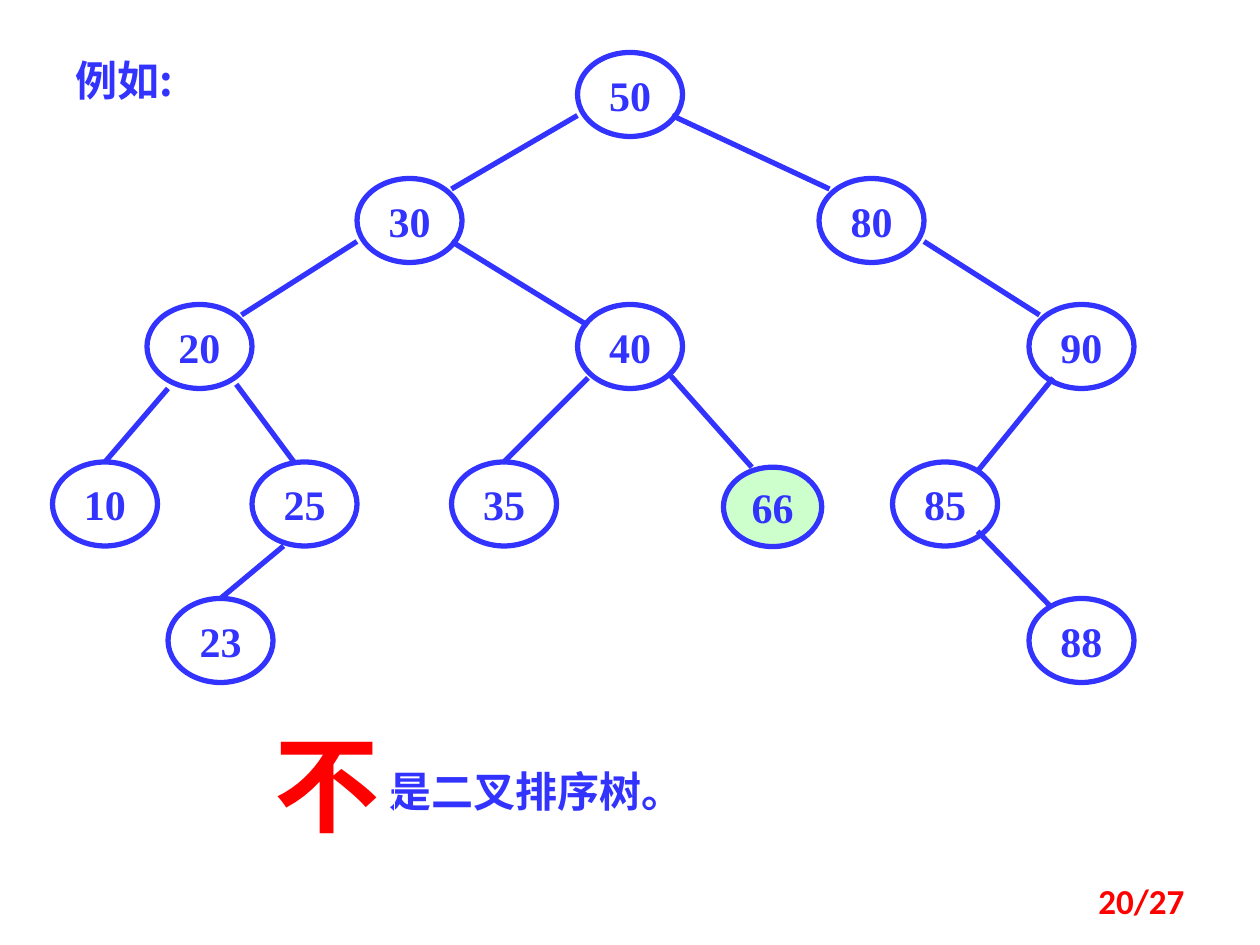
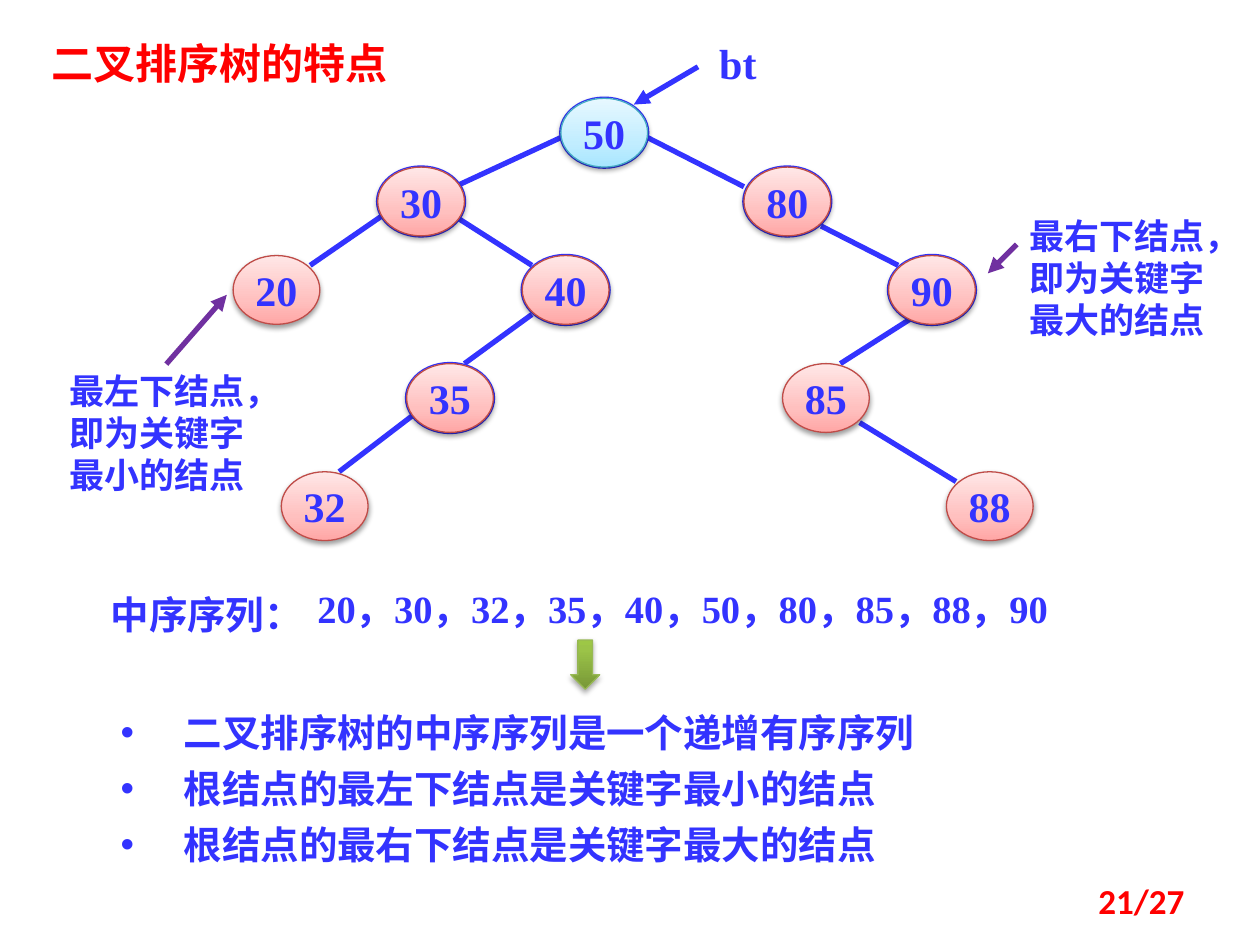
from dataclasses import dataclass

from lxml.etree import SubElement
from pptx import Presentation
from pptx.dml.color import RGBColor
from pptx.enum.shapes import MSO_CONNECTOR as Link, MSO_SHAPE as Shape
from pptx.enum.text import MSO_ANCHOR as Anchor, PP_ALIGN as Align
from pptx.oxml import parse_xml
from pptx.oxml.ns import nsdecls, qn
from pptx.util import Inches, Pt

COLORS = {
    "blue": "3333FF", "red": "FF0000", "purple": "7030A0",
    "white": "FFFFFF", "mint": "CCFFCC", "black": "000000",
    "rose_line": "BF4C48", "sky_line": "46AAC5", "leaf_line": "98B955",
}
GRADIENTS = {
    "rose": [(0, "FFA6A5"), (35, "FFC0BF"), (100, "FFE7E7")],
    "sky": [(0, "A7E6FF"), (35, "C1EDFF"), (100, "E7F8FF")],
    "leaf": [(0, "779737"), (80, "9BC348"), (100, "9DC746")],
}
SERIF, SANS, FOOTER = "Times New Roman", "Noto Sans CJK SC", "Calibri"
PAGE_COUNT = 27


@dataclass
class Box:
    left: float
    top: float
    width: float
    height: float

    def lengths(self):
        return [Inches(v) for v in (self.left, self.top, self.width, self.height)]


@dataclass
class Grid:
    left: float
    top: float
    step_x: float
    step_y: float

    def point(self, column, row):
        return self.left + column * self.step_x, self.top + row * self.step_y

    def cell(self, column, row, columns, rows):
        return Box(*self.point(column, row), columns * self.step_x, rows * self.step_y)


def rgb(name):
    return RGBColor.from_string(COLORS[name])


def style_runs(paragraph, size, color="blue", font=SERIF, bold=True):
    for run in paragraph.runs:
        run.font.size = Pt(size)
        run.font.bold = bold
        run.font.name = font
        run.font.color.rgb = rgb(color)
        if font != FOOTER:
            SubElement(run.font._element, qn("a:ea")).set("typeface", SANS)


def write(slide, box, lines, size, color="blue", font=SERIF, spacing=None, framed=False):
    if framed:
        holder = add_outline(slide, Shape.RECTANGLE, box, "white", 0.75)
    else:
        holder = slide.shapes.add_textbox(*box.lengths())
    frame = holder.text_frame
    frame.word_wrap = True
    frame.vertical_anchor = Anchor.TOP
    frame.text = "\n".join(lines)
    for paragraph in frame.paragraphs:
        paragraph.alignment = Align.LEFT
        paragraph.line_spacing = Pt(spacing or size * 1.2)
        style_runs(paragraph, size, color, font)
    return frame


def add_outline(slide, kind, box, line, weight):
    shape = slide.shapes.add_shape(kind, *box.lengths())
    shape.shadow.inherit = False
    shape.fill.background()
    shape.line.color.rgb = rgb(line)
    shape.line.width = Pt(weight)
    return shape


def add_glossy(slide, kind, box, tint, alpha=38):
    shape = add_outline(slide, kind, box, f"{tint}_line", 0.75)
    properties = shape._element.spPr
    stops = "".join(
        f'<a:gs pos="{at * 1000}"><a:srgbClr val="{color}"/></a:gs>'
        for at, color in GRADIENTS[tint])
    properties.replace(properties.find(qn("a:noFill")), parse_xml(
        f'<a:gradFill {nsdecls("a")} rotWithShape="1"><a:gsLst>{stops}</a:gsLst>'
        '<a:lin ang="16200000" scaled="1"/></a:gradFill>'))
    properties.find(qn("a:effectLst")).append(parse_xml(
        f'<a:outerShdw {nsdecls("a")} blurRad="{Pt(3.1)}" dist="{Pt(1.6)}" dir="5400000"'
        f' rotWithShape="0"><a:srgbClr val="{COLORS["black"]}">'
        f'<a:alpha val="{alpha * 1000}"/></a:srgbClr></a:outerShdw>'))
    return shape


def add_line(slide, start, end, color="blue", arrow=False):
    line = slide.shapes.add_connector(
        Link.STRAIGHT, *[Inches(v) for v in (*start, *end)])
    line.line.color.rgb = rgb(color)
    line.line.width = Pt(3)
    if arrow:
        SubElement(line.line._get_or_add_ln(), qn("a:tailEnd")).set("type", "triangle")
    SubElement(line._element.spPr, qn("a:effectLst"))


def label_node(node, key):
    frame = node.text_frame
    frame.word_wrap = False
    frame.vertical_anchor = Anchor.MIDDLE
    frame.text = str(key)
    frame.paragraphs[0].alignment = Align.CENTER
    style_runs(frame.paragraphs[0], 24)


def draw_edges(slide, grid, edges):
    for x1, y1, x2, y2 in edges:
        add_line(slide, grid.point(x1, y1), grid.point(x2, y2))


def draw_counterexample_tree(slide, grid):
    nodes = {
        50: (50, 0), 30: (29, 12), 80: (73, 12), 20: (9, 24), 40: (50, 24),
        90: (93, 24), 10: (0, 39), 25: (19, 39), 35: (38, 39), 85: (80, 39),
        23: (11, 52), 88: (93, 52),
    }
    draw_edges(slide, grid, [
        (50, 6, 38, 13), (59, 6, 74, 13), (29, 18, 18, 25), (38, 18, 51, 26),
        (83, 18, 94, 25), (11, 32, 5, 39), (17.5, 31.6, 23, 39), (51, 31, 43, 39),
        (58.7, 30.6, 66.6, 39.5), (95.3, 31, 88, 40), (22, 47, 16, 52),
        (88.1, 45.6, 95, 52.7),
    ])
    for key, place in nodes.items():
        label_node(add_outline(slide, Shape.OVAL, grid.cell(*place, 10, 8), "blue", 3), key)
    misplaced = add_outline(slide, Shape.OVAL, grid.cell(63.9, 39.5, 9.36, 7.56), "blue", 3)
    misplaced.fill.solid()
    misplaced.fill.fore_color.rgb = rgb("mint")
    label_node(misplaced, 66)


def draw_search_tree(slide, grid):
    nodes = {
        50: (34, 0), 30: (15, 7), 80: (53, 7), 20: (0, 16), 40: (30, 16),
        90: (68, 16), 35: (18, 27), 85: (57, 27), 32: (5, 38), 88: (74, 38),
    }
    ringed = {50, 30, 80, 40, 90, 35}
    draw_edges(slide, grid, [
        (34, 4, 23, 9), (43, 4, 53, 9), (15.4, 12, 8, 17), (23, 12, 31, 17),
        (61, 13, 69, 17), (31, 22, 24, 27), (71, 22, 63, 27), (19, 32, 11, 38),
        (65, 33, 75, 39),
    ])
    for key, place in nodes.items():
        cell = grid.cell(*place, 9, 7)
        if key in ringed:
            add_outline(slide, Shape.OVAL, cell, "blue", 2)
        label_node(add_glossy(slide, Shape.OVAL, cell, "sky" if key == 50 else "rose"), key)


def draw_callout(slide, box, text, start, end):
    write(slide, box, [text], 20)
    add_line(slide, *[(box.left + x, box.top + y) for x, y in (start, end)], "purple", True)


def draw_traits(slide, box, traits):
    frame = write(slide, box, traits, 22, spacing=32)
    for paragraph in frame.paragraphs:
        properties = paragraph._p.get_or_add_pPr()
        properties.set("marL", str(Inches(0.5)))
        properties.set("indent", str(Inches(-0.5)))
        SubElement(properties, qn("a:buFont")).set("typeface", "Arial")
        SubElement(properties, qn("a:buChar")).set("char", "•")


def draw_page_number(slide, number):
    frame = slide.shapes.add_textbox(*Box(7.17, 6.95, 2.33, 0.4).lengths()).text_frame
    frame.word_wrap = True
    frame.vertical_anchor = Anchor.MIDDLE
    frame.text = f"{number}/{PAGE_COUNT}"
    frame.paragraphs[0].alignment = Align.RIGHT
    style_runs(frame.paragraphs[0], 20, "red", FOOTER)


def build_counterexample(slide):
    draw_counterexample_tree(slide, Grid(5 / 12, 5 / 12, 1 / 12, 1 / 12))
    write(slide, Box(0.5, 0.38, 1, 0.5), ["例如:"], 24, font=SANS, framed=True)
    write(slide, Box(2.99, 6.03, 2.57, 0.5), ["是二叉排序树。"], 24, font=SANS, framed=True)
    write(slide, Box(2.08, 5.58, 1.05, 1.11), ["不"], 60, "red", spacing=78, framed=True)
    draw_page_number(slide, 20)


def build_traits(slide):
    draw_search_tree(slide, Grid(1.85, 0.78, 0.0765, 0.078))
    add_line(slide, (5.54, 0.53), (5.03, 0.83), arrow=True)
    write(slide, Box(5.61, 0.25, 0.94, 0.47), ["bt"], 24)
    draw_callout(slide, Box(0.45, 2.88, 1.65, 1.11), "最左下结点，即为关键字最小的结点",
                 (0.87, 0.01), (1.35, -0.54))
    draw_callout(slide, Box(8.07, 1.65, 1.65, 1.11), "最右下结点，即为关键字最大的结点",
                 (0, 0.29), (-0.23, 0.52))
    write(slide, Box(0.31, 0.25, 3.44, 0.5), ["二叉排序树的特点"], 24, "red", SANS)
    write(slide, Box(0.78, 4.64, 1.95, 0.47), ["中序序列："], 22)
    write(slide, Box(2.42, 4.59, 6.72, 0.47),
          ["，".join(map(str, (20, 30, 32, 35, 40, 50, 80, 85, 88, 90)))], 22)
    add_glossy(slide, Shape.DOWN_ARROW, Box(4.53, 5.08, 0.23, 0.39), "leaf", 35)
    draw_traits(slide, Box(0.86, 5.5, 7.19, 1.45), [
        "二叉排序树的中序序列是一个递增有序序列",
        "根结点的最左下结点是关键字最小的结点",
        "根结点的最右下结点是关键字最大的结点",
    ])
    draw_page_number(slide, 21)


def main():
    deck = Presentation()
    deck.slide_width, deck.slide_height = Inches(10), Inches(7.5)
    for build in (build_counterexample, build_traits):
        build(deck.slides.add_slide(deck.slide_layouts[6]))
    deck.save("out.pptx")


if __name__ == "__main__":
    main()
